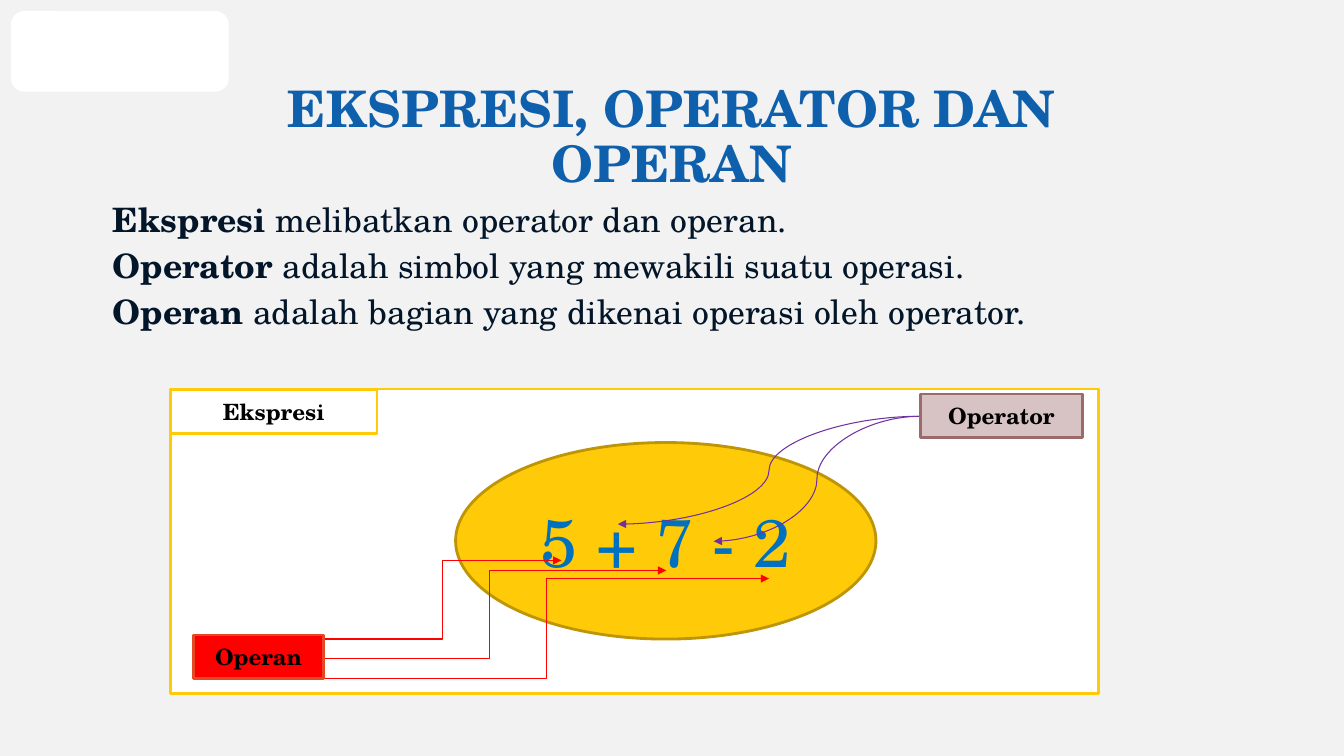
from lxml.etree import SubElement
from pptx import Presentation
from pptx.dml.color import RGBColor
from pptx.enum.shapes import MSO_CONNECTOR, MSO_SHAPE
from pptx.enum.text import MSO_ANCHOR, PP_ALIGN
from pptx.oxml.ns import qn
from pptx.util import Inches, Pt

FONT = "TeX Gyre Schola"
GRAY = RGBColor(0xF2, 0xF2, 0xF2)
WHITE = RGBColor(0xFF, 0xFF, 0xFF)
BLACK = RGBColor(0x00, 0x00, 0x00)
TITLE_BLUE = RGBColor(0x0E, 0x60, 0xAC)
NAVY = RGBColor(0x03, 0x16, 0x29)
BLUE = RGBColor(0x00, 0x70, 0xC0)
YELLOW = RGBColor(0xFF, 0xCA, 0x08)
DARK_YELLOW = RGBColor(0xBD, 0x95, 0x06)
PURPLE = RGBColor(0x70, 0x30, 0xA0)
RED = RGBColor(0xFF, 0x00, 0x00)
ORANGE = RGBColor(0xE6, 0x48, 0x23)
ROSE = RGBColor(0xD7, 0xC3, 0xC3)
MAUVE = RGBColor(0x9C, 0x6A, 0x6A)


class Deck:
    cell = Inches(0.1)

    def __init__(self, cols, rows):
        self.prs = Presentation()
        self.prs.slide_width = self.grid(cols)
        self.prs.slide_height = self.grid(rows)
        self.s = self.prs.slides.add_slide(self.prs.slide_layouts[6])
        self.s.background.fill.solid()
        self.s.background.fill.fore_color.rgb = GRAY

    def grid(self, n):
        return round(n * self.cell)

    def place(self, box):
        return [self.grid(n) for n in box]

    def run(self, p, text, size, color, bold=False):
        r = p.add_run()
        r.text = text
        r.font.name = FONT
        r.font.size = Pt(size)
        r.font.bold = bold
        r.font.color.rgb = color

    def text(self, box, paragraphs, size, color, align, spacing, anchor, indent=0):
        tf = self.s.shapes.add_textbox(*self.place(box)).text_frame
        tf.word_wrap = True
        tf.vertical_anchor = anchor
        for i, parts in enumerate(paragraphs):
            p = tf.add_paragraph() if i else tf.paragraphs[0]
            p.alignment = align
            p.line_spacing = spacing
            p.space_before = Pt(10 if i else 0)
            if indent:
                p._p.get_or_add_pPr().set("marL", str(self.grid(indent)))
            for part, bold in parts:
                self.run(p, part, size, color, bold)

    def shape(self, kind, box, fill, line=None, text="", size=16, color=BLACK, bold=True):
        sp = self.s.shapes.add_shape(kind, *self.place(box))
        sp.shadow.inherit = False
        sp.fill.solid()
        sp.fill.fore_color.rgb = fill
        if line is None:
            sp.line.fill.background()
        else:
            sp.line.color.rgb = line
            sp.line.width = Pt(2)
        if text:
            tf = sp.text_frame
            tf.word_wrap = True
            tf.vertical_anchor = MSO_ANCHOR.MIDDLE
            p = tf.paragraphs[0]
            p.alignment = PP_ALIGN.CENTER
            self.run(p, text, size, color, bold)

    def arrow(self, kind, start, end, color):
        cn = self.s.shapes.add_connector(kind, *self.place(start + end))
        cn.line.color.rgb = color
        cn.line.width = Pt(0.75)
        SubElement(cn.line._get_or_add_ln(), qn("a:tailEnd"), type="triangle")
        SubElement(cn._element.spPr, qn("a:effectLst"))


def main():
    deck = Deck(133.33, 75)
    deck.shape(MSO_SHAPE.ROUNDED_RECTANGLE, (1.1, 1.1, 21.6, 8), WHITE)
    deck.shape(MSO_SHAPE.RECTANGLE, (16.9, 38.6, 92.1, 30.2), WHITE, YELLOW)

    deck.text((26.1, 9.7, 81, 8.1), [[("EKSPRESI, OPERATOR DAN OPERAN", True)]],
              36, TITLE_BLUE, PP_ALIGN.CENTER, 0.9, MSO_ANCHOR.MIDDLE)
    definitions = [
        ("Ekspresi ", "melibatkan operator dan operan."),
        ("Operator ", "adalah simbol yang mewakili suatu operasi."),
        ("Operan ", "adalah bagian yang dikenai operasi oleh operator."),
    ]
    deck.text((9.2, 20, 108.8, 15.5),
              [[(term, True), (meaning, False)] for term, meaning in definitions],
              24, NAVY, PP_ALIGN.JUSTIFY, 0.8, MSO_ANCHOR.TOP, indent=1)

    deck.shape(MSO_SHAPE.OVAL, (45.2, 43.9, 41.7, 19.5), YELLOW, DARK_YELLOW,
               "5 + 7 - 2", 48, BLUE, False)

    for sign in [(70.8, 53.7), (61.3, 52)]:
        deck.arrow(MSO_CONNECTOR.CURVE, (91.3, 41.3), sign, PURPLE)
    operand_arrows = [
        ((32.1, 63.4), (55.7, 55.6)),
        ((31.1, 65.3), (66.1, 56.6)),
        ((32.1, 67.3), (76.3, 57.4)),
    ]
    for start, number in operand_arrows:
        deck.arrow(MSO_CONNECTOR.ELBOW, start, number, RED)

    labels = [
        ("Ekspresi", 16.9, 38.7, 20.5, WHITE, YELLOW),
        ("Operan", 19.2, 63, 12.9, RED, ORANGE),
        ("Operator", 91.3, 39.1, 16.1, ROSE, MAUVE),
    ]
    for name, x, y, width, fill, line in labels:
        deck.shape(MSO_SHAPE.RECTANGLE, (x, y, width, 4.3), fill, line, name)

    deck.prs.save("out.pptx")


if __name__ == "__main__":
    main()
